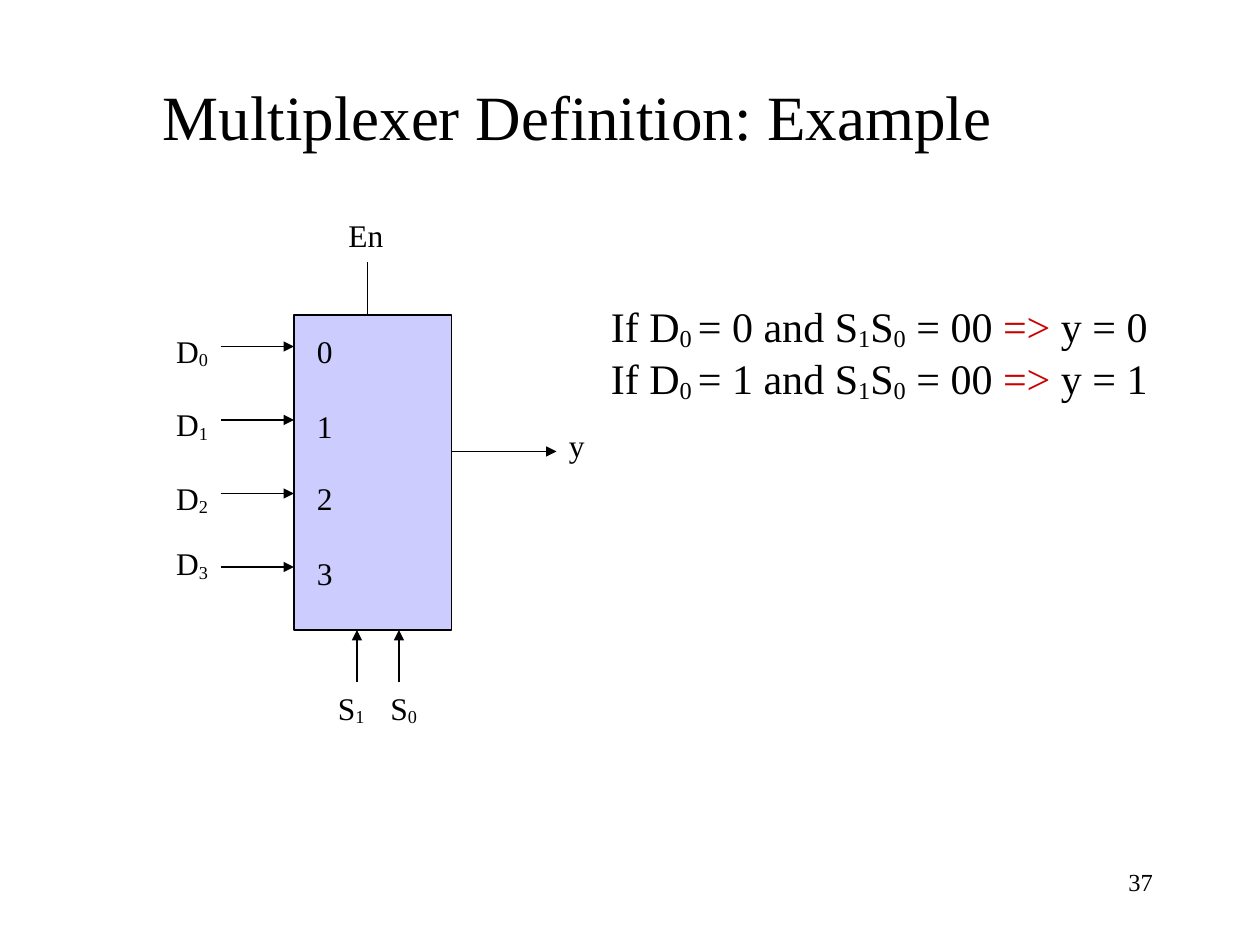
from lxml.etree import SubElement
from pptx import Presentation
from pptx.dml.color import RGBColor
from pptx.enum.shapes import MSO_CONNECTOR, MSO_SHAPE
from pptx.enum.text import MSO_ANCHOR, MSO_AUTO_SIZE, PP_ALIGN
from pptx.oxml.ns import qn
from pptx.util import Emu, Pt

PX = 7620  # 120 px to the inch
FONT = "Times New Roman"
COLORS = {"ink": "000000", "block": "CCCCFF", "implies": "CC0000"}


def px(*lengths):
    return [Emu(length * PX) for length in lengths]


def color(name):
    return RGBColor.from_string(COLORS[name])


def write(frame, *lines, size=18, align=PP_ALIGN.LEFT, anchor=MSO_ANCHOR.TOP,
          wrap=False, fit=MSO_AUTO_SIZE.SHAPE_TO_FIT_TEXT):
    """Fill a text frame; ~x~ marks a subscript and |x| the accent colour."""
    frame.word_wrap = wrap
    frame.auto_size = fit
    frame.vertical_anchor = anchor
    for number, line in enumerate(lines):
        para = frame.add_paragraph() if number else frame.paragraphs[0]
        para.alignment = align
        for accent, part in enumerate(line.split("|")):
            for lowered, text in enumerate(part.split("~")):
                if not text:
                    continue
                span = para.add_run()
                span.text = text
                span.font.name = FONT
                span.font.size = Pt(size)
                span.font.color.rgb = color("implies" if accent % 2 else "ink")
                if lowered % 2:
                    span.font._element.set("baseline", "-12000")


def add_text(page, box, *lines, **style):
    write(page.shapes.add_textbox(*px(*box)).text_frame, *lines, **style)


def add_wire(page, start, end, width=1, arrow=True):
    wire = page.shapes.add_connector(MSO_CONNECTOR.STRAIGHT, *px(*start, *end))
    wire.line.color.rgb = color("ink")
    wire.line.width = Pt(width)
    if arrow:
        SubElement(wire.line._get_or_add_ln(), qn("a:tailEnd"), type="triangle")
    SubElement(wire._element.spPr, qn("a:effectLst"))


def add_title(page, box, text):
    title = page.shapes.title
    title.left, title.top, title.width, title.height = px(*box)
    write(title.text_frame, text, size=36, align=PP_ALIGN.CENTER,
          anchor=MSO_ANCHOR.MIDDLE, wrap=True, fit=MSO_AUTO_SIZE.NONE)


def add_multiplexer(page, box):
    """Draw the block in its box, with the wires and labels around it."""
    left, top, width, height = box
    right, bottom = left + width, top + height
    block = page.shapes.add_shape(MSO_SHAPE.RECTANGLE, *px(*box))
    block.shadow.inherit = False
    block.fill.solid()
    block.fill.fore_color.rgb = color("block")
    block.line.color.rgb = color("ink")
    block.line.width = Pt(0.75)

    enable_x = left + 70
    add_wire(page, (enable_x, top), (enable_x, top - 50), width=0.75, arrow=False)
    add_text(page, (enable_x - 30, top - 100, 58, 48), "En")

    output_y = top + 130
    add_wire(page, (right, output_y), (right + 100, output_y))
    add_text(page, (right + 100, output_y - 30, 40, 48), "y")

    # Each pair is the top of the outer label and of the inner one
    label_tops = [(10, 10), (80, 82), (150, 150), (212, 222)]
    for index, (outer, inner) in enumerate(label_tops):
        input_y = top + 30 + 70 * index
        add_wire(page, (left - 70, input_y), (left, input_y))
        add_text(page, (left - 124, top + outer, 56, 48), f"D~{index}~")
        add_text(page, (left + 10, top + inner, 40, 48), str(index))

    for index, wire_x, label_x in [(1, 60, 30), (0, 100, 80)]:
        add_wire(page, (left + wire_x, bottom + 50), (left + wire_x, bottom))
        add_text(page, (left + label_x, bottom + 50, 50, 48), f"S~{index}~")


def add_rules(page, box):
    lines = [f"If D~0 ~= {bit} and S~1~S~0~ = 00 |=>| y = {bit}" for bit in (0, 1)]
    add_text(page, box, *lines, size=24, wrap=True)


def add_page_number(page, box, number):
    add_text(page, box, str(number), size=14, align=PP_ALIGN.RIGHT,
             wrap=True, fit=MSO_AUTO_SIZE.NONE)


def main():
    deck = Presentation()
    deck.slide_width, deck.slide_height = px(1200, 900)
    page = deck.slides.add_slide(deck.slide_layouts[5])
    add_title(page, (120, 60, 860, 100), "Multiplexer Definition: Example")
    add_multiplexer(page, (280, 300, 150, 300))
    add_rules(page, (570, 280, 560, 108))
    add_page_number(page, (860, 820, 250, 60), 37)
    deck.save("out.pptx")


if __name__ == "__main__":
    main()
